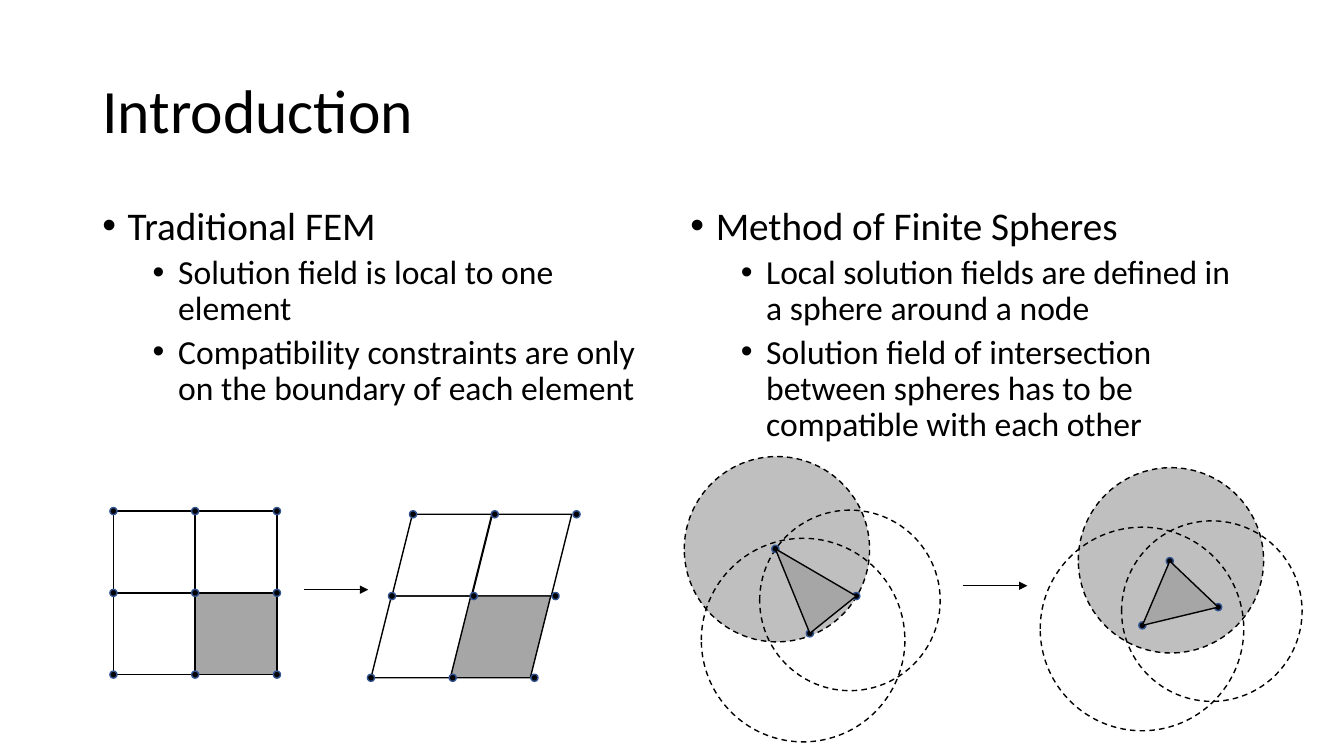
from itertools import product
from lxml.etree import SubElement as Sub
from pptx import Presentation
from pptx.dml.color import RGBColor as Rgb
from pptx.enum.dml import MSO_LINE as Dash
from pptx.enum.shapes import MSO_CONNECTOR as Link, MSO_SHAPE as Kind
from pptx.enum.text import MSO_ANCHOR as Anchor
from pptx.oxml.ns import qn
from pptx.util import Cm, Pt

HUES = {"ink": "000000", "rim": "325491", "cell": "A6A6A6", "ball": "BFBFBF"}
FONT = "Calibri"
SIDE = 2.06
DOT = 0.18
BALLS = (4.67, 4.55, 5.13)


class Deck:
    def __init__(self, slide):
        self.slide = slide
        self.pen = slide.shapes

    def group(self):
        self.pen = self.slide.shapes.add_group_shape().shapes

    def paint(self, shape, fill=None, line="ink", dash=False):
        shape.shadow.inherit = False
        if fill:
            shape.fill.solid()
            shape.fill.fore_color.rgb = Rgb.from_string(HUES[fill])
        else:
            shape.fill.background()
        shape.line.color.rgb = Rgb.from_string(HUES[line])
        shape.line.width = Pt(1)
        if dash:
            shape.line.dash_style = Dash.DASH

    def shape(self, kind, x, y, w, h, **style):
        item = self.pen.add_shape(kind, Cm(x), Cm(y), Cm(w), Cm(h))
        self.paint(item, **style)

    def disc(self, x, y, size, **style):
        self.shape(Kind.OVAL, x - size / 2, y - size / 2, size, size, **style)

    def node(self, x, y):
        self.disc(x, y, DOT, fill="ink", line="rim")

    def box(self, x, y, w, h):
        frame = self.slide.shapes.add_textbox(Cm(x), Cm(y), Cm(w), Cm(h)).text_frame
        frame.word_wrap = True
        return frame

    def style(self, par, size):
        par.line_spacing = 0.9
        for run in par.runs:
            run.font.name = FONT
            run.font.size = Pt(size)
            run.font.color.rgb = Rgb.from_string(HUES["ink"])

    def title(self, text):
        frame = self.box(2.33, 1.02, 29.21, 3.68)
        frame.vertical_anchor = Anchor.MIDDLE
        frame.text = text
        self.style(frame.paragraphs[0], 44)

    def list(self, x, lines):
        frame = self.box(x, 5.07, 14.4, 12.09)
        frame.text = "\n".join(lines)
        for i, par in enumerate(frame.paragraphs):
            level = min(i, 1)
            par.level = level
            self.style(par, 24 if level else 28)
            par.space_before = Pt(5 if level else 10)
            props = par._p.get_or_add_pPr()
            props.set("marL", str(Cm(1.91 if level else 0.64)))
            props.set("indent", str(-Cm(0.64)))
            Sub(props, qn("a:buFont"), typeface="Arial")
            Sub(props, qn("a:buChar"), char="•")

    def arrow(self, x, y):
        link = self.slide.shapes.add_connector(
            Link.STRAIGHT, Cm(x), Cm(y), Cm(x + 1.63), Cm(y))
        link.line.color.rgb = Rgb.from_string(HUES["ink"])
        link.line.width = Pt(0.5)
        Sub(link.line._get_or_add_ln(), qn("a:tailEnd"), type="triangle")
        Sub(link._element.spPr, qn("a:effectLst"))

    def mesh(self, kind, x, y, step=SIDE, lean=0):
        self.group()
        for row, col in product(range(2), repeat=2):
            self.shape(kind, x + col * step - (row + 1) * lean, y + row * SIDE,
                       step + lean, SIDE, fill="cell" if row and col else None)
        for row, col in product(range(3), repeat=2):
            self.node(x + col * SIDE - row * lean, y + row * SIDE)

    def cloud(self, mids, nodes):
        self.group()
        for i, (mid, size) in enumerate(zip(mids, BALLS)):
            self.disc(*mid, size, fill=None if i else "ball", dash=True)
        for spot in nodes:
            self.node(*spot)
        first, *rest = [(Cm(x), Cm(y)) for x, y in nodes]
        path = self.pen.build_freeform(*first)
        path.add_line_segments(rest, close=True)
        self.paint(path.convert_to_shape(), fill="cell")


def main():
    show = Presentation()
    show.slide_width, show.slide_height = Cm(33.87), Cm(19.05)
    deck = Deck(show.slides.add_slide(show.slide_layouts[6]))
    deck.title("Introduction")
    deck.list(2.33, [
        "Traditional FEM",
        "Solution field is local to one element",
        "Compatibility constraints are only on the boundary of each element"])
    deck.list(17.15, [
        "Method of Finite Spheres",
        "Local solution fields are defined in a sphere around a node",
        "Solution field of intersection between spheres has to be "
        "compatible with each other"])
    deck.mesh(Kind.RECTANGLE, 2.86, 12.88)
    deck.mesh(Kind.PARALLELOGRAM, 10.41, 12.96, step=2, lean=0.53)
    deck.arrow(7.65, 14.86)
    deck.cloud([(19.58, 13.84), (21.42, 15.13), (20.24, 16.13)],
               [(19.54, 13.83), (21.58, 15.02), (20.41, 15.96)])
    deck.arrow(24.26, 14.76)
    deck.cloud([(29.51, 14.12), (30.54, 15.4), (28.78, 15.85)],
               [(29.48, 14.14), (30.7, 15.3), (28.79, 15.76)])
    show.save("out.pptx")


if __name__ == "__main__":
    main()
